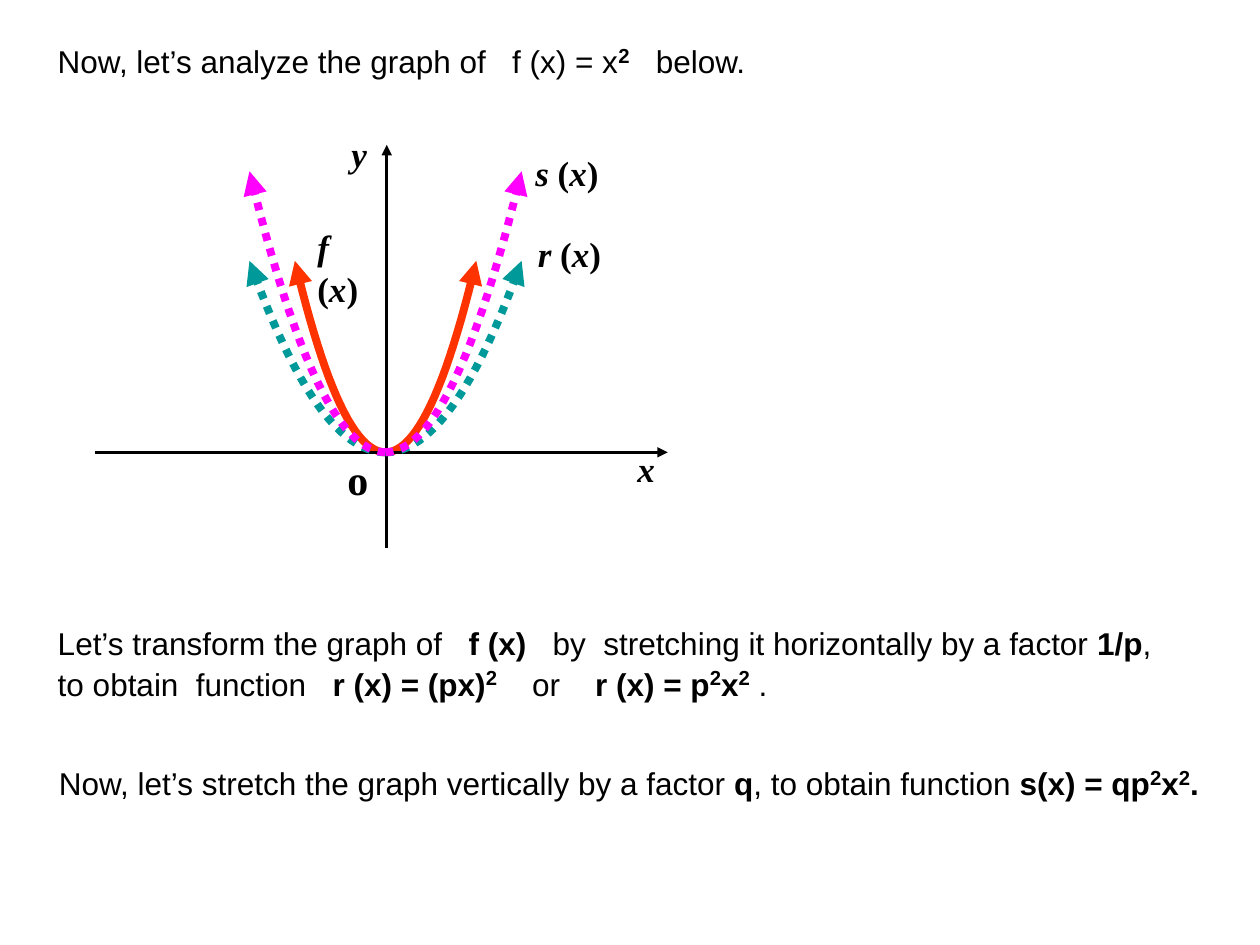
from pptx import Presentation
from pptx.dml.color import RGBColor
from pptx.enum.dml import MSO_LINE
from pptx.enum.shapes import MSO_CONNECTOR
from pptx.enum.text import MSO_AUTO_SIZE
from pptx.oxml.ns import qn
from pptx.util import Inches, Pt
from lxml import etree

STRAIGHT = MSO_CONNECTOR.STRAIGHT
DOTTED = MSO_LINE.ROUND_DOT
FIT_TEXT = MSO_AUTO_SIZE.SHAPE_TO_FIT_TEXT
COLORS = {"ink": "000000", "f": "FF3300", "r": "009999", "s": "FF00FF"}

prs = Presentation()
prs.slide_width, prs.slide_height = Inches(10), Inches(7.5)
slide = prs.slides.add_slide(prs.slide_layouts[6])


def style_arrow(stroke, color, width, dash=None):
    stroke.line.color.rgb = RGBColor.from_string(COLORS[color])
    stroke.line.width = Pt(width)
    if dash is not None:
        stroke.line.dash_style = dash
    tail = etree.SubElement(stroke.line._get_or_add_ln(), qn("a:tailEnd"))
    tail.set("type", "triangle")


def add_text(box, paragraphs, font_name, size):
    left, top, width, height = map(Inches, box)
    frame = slide.shapes.add_textbox(left, top, width, height).text_frame
    frame.word_wrap = False
    frame.auto_size = FIT_TEXT
    for index, pieces in enumerate(paragraphs):
        paragraph = frame.add_paragraph() if index else frame.paragraphs[0]
        for text, style in pieces:
            run = paragraph.add_run()
            run.text = text
            run.font.name = font_name
            run.font.size = Pt(20 if "^" in style else size)
            run.font.bold = "b" in style
            run.font.italic = "i" in style
            run.font.color.rgb = RGBColor.from_string(COLORS["ink"])
            if "^" in style:
                run._r.get_or_add_rPr().set("baseline", "30000")


origin_x, origin_y = 3.06, 3.59
steps = 24
curves = [
    ("f", 0.72, 1.52, None),
    ("r", 1.08, 1.52, DOTTED),
    ("s", 1.08, 2.23, DOTTED),
]
for function, half_width, rise, dash in curves:
    for side in (-1, 1):
        points = [
            (Inches(origin_x + side * half_width * step / steps),
             Inches(origin_y - rise * (step / steps) ** 2))
            for step in range(steps + 1)
        ]
        builder = slide.shapes.build_freeform(*points[0])
        builder.add_line_segments(points[1:], close=False)
        branch = builder.convert_to_shape()
        branch.shadow.inherit = False
        branch.fill.background()
        style_arrow(branch, function, 4.5, dash)

    if function == "f":
        for ends in [(0.75, 3.59, 5.3, 3.59), (3.07, 4.35, 3.07, 1.15)]:
            axis = slide.shapes.add_connector(STRAIGHT, *map(Inches, ends))
            style_arrow(axis, "ink", 1.5)
            etree.SubElement(axis._element.spPr, qn("a:effectLst"))

labels = [
    ((4.96, 3.5, 0.34, 0.44), [("x", "bi")], 20),
    ((2.69, 1, 0.32, 0.44), [("y", "bi")], 20),
    ((2.66, 3.55, 0.36, 0.5), [("o", "b")], 24),
]
for function, left, top, width in [
    ("f", 2.42, 1.74, 0.68), ("r", 4.17, 1.8, 0.7), ("s", 4.15, 1.15, 0.7),
]:
    pieces = [(f"{function} ", "bi"), ("(", "b"), ("x", "bi"), (")", "b")]
    labels.append(((left, top, width, 0.44), pieces, 20))
for box, pieces, size in labels:
    add_text(box, [pieces], "Times New Roman", size)

statements = [
    ((0.36, 0.26, 5.69, 0.44), [
        [("Now, let’s analyze the graph of   f (x) = x", ""), ("2", "b^"),
         ("   below.", "")],
    ]),
    ((0.36, 4.9, 8.95, 0.74), [
        [("Let’s transform the graph of   ", ""), ("f (x)", "b"),
         ("   by  stretching it horizontally by a factor ", ""),
         ("1/p", "b"), (",", "")],
        [("to obtain  function   ", ""), ("r (x) = (px)", "b"), ("2", "b^"),
         ("    or    ", ""), ("r (x) = p", "b"), ("2", "b^"), ("x", "b"),
         ("2", "b^"), (" .", "")],
    ]),
    ((0.37, 5.99, 9.33, 0.44), [
        [("Now, let’s stretch the graph vertically by a factor ", ""),
         ("q", "b"), (", to obtain function ", ""), ("s(x) = qp", "b"),
         ("2", "b^"), ("x", "b"), ("2", "b^"), (".", "b")],
    ]),
]
for box, paragraphs in statements:
    add_text(box, paragraphs, "Arial", 18)

prs.save("out.pptx")
